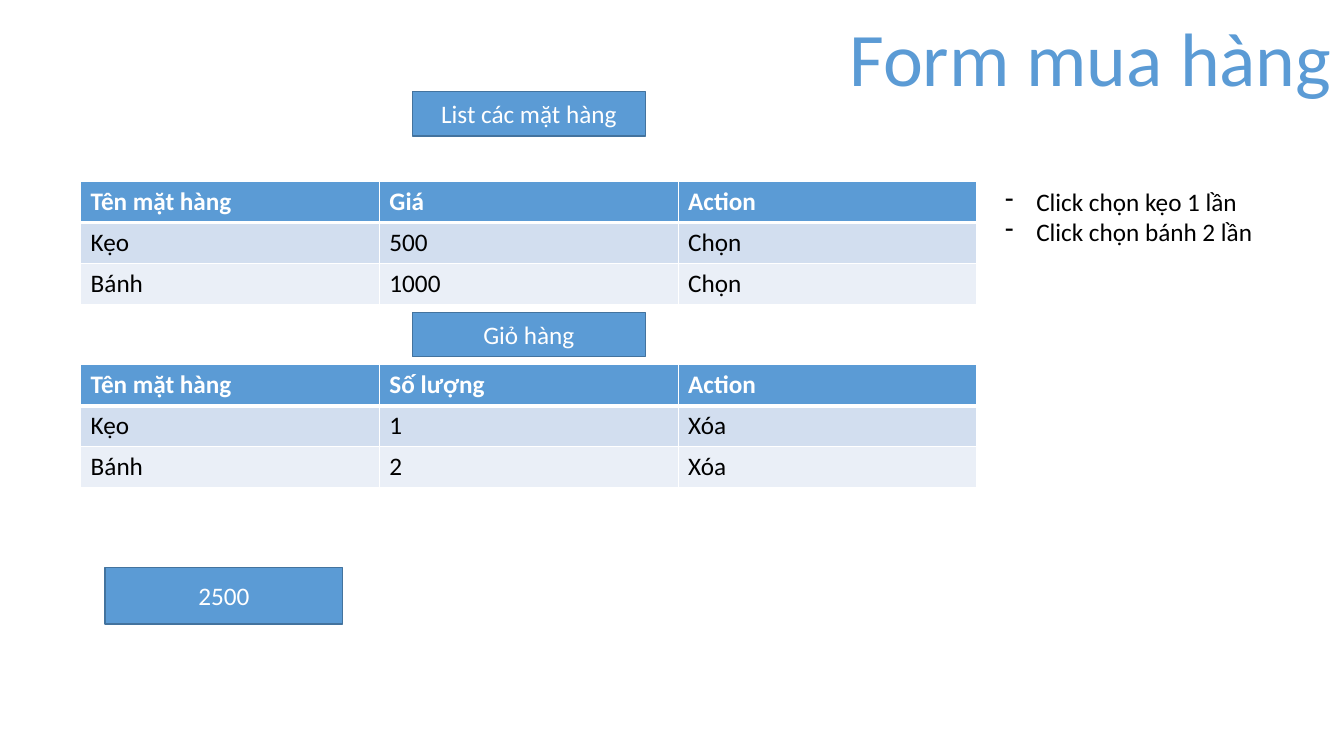
import pptx
import pptx.util
import pptx.dml.color
import pptx.enum.shapes
import pptx.enum.text
import pptx.oxml.ns
from dataclasses import dataclass
from lxml import etree
from pptx.util import Inches


@dataclass(frozen=True)
class Theme:
    font: str = "Calibri"
    accent: str = "5B9BD5"
    outline: str = "43739E"
    white: str = "FFFFFF"
    text: str = "000000"
    bands: tuple = ("D2DEEF", "EAEFF7")
    body: int = 18
    title: int = 54


THEME = Theme()
CENTER = pptx.enum.text.PP_ALIGN.CENTER


def rgb(value):
    return pptx.dml.color.RGBColor.from_string(value)


def add_xml(parent, tag, **attrs):
    return etree.SubElement(parent, pptx.oxml.ns.qn(tag), attrs)


def style_text(tf, color, size=THEME.body, bold=False, align=None):
    for p in tf.paragraphs:
        p.alignment = align
        for r in p.runs:
            r.font.name = THEME.font
            r.font.size = pptx.util.Pt(size)
            r.font.bold = bold
            r.font.color.rgb = rgb(color)


def add_box(slide, text, left, top, width, height):
    sp = slide.shapes.add_shape(
        pptx.enum.shapes.MSO_SHAPE.RECTANGLE,
        Inches(left), Inches(top), Inches(width), Inches(height))
    sp.shadow.inherit = False
    sp.fill.solid()
    sp.fill.fore_color.rgb = rgb(THEME.accent)
    sp.line.color.rgb = rgb(THEME.outline)
    sp.line.width = pptx.util.Pt(1)
    tf = sp.text_frame
    tf.text = text
    tf.vertical_anchor = pptx.enum.text.MSO_ANCHOR.MIDDLE
    style_text(tf, THEME.white, align=CENTER)


def set_borders(cell, bottom):
    tcPr = cell._tc.get_or_add_tcPr()
    widths = {"a:lnL": 1, "a:lnR": 1, "a:lnT": 1, "a:lnB": bottom}
    for i, (tag, width) in enumerate(widths.items()):
        ln = etree.Element(pptx.oxml.ns.qn(tag), w=str(pptx.util.Pt(width)))
        add_xml(add_xml(ln, "a:solidFill"), "a:srgbClr", val=THEME.white)
        tcPr.insert(i, ln)


def add_table(slide, rows, top):
    table = slide.shapes.add_table(
        len(rows), len(rows[0]), Inches(0.8), Inches(top),
        Inches(8.89), Inches(1.22)).table
    for i, row in enumerate(rows):
        header = i == 0
        for j, text in enumerate(row):
            cell = table.cell(i, j)
            cell.text_frame.text = text
            style_text(cell.text_frame, THEME.white if header else THEME.text, bold=header)
            cell.fill.solid()
            cell.fill.fore_color.rgb = rgb(
                THEME.accent if header else THEME.bands[(i - 1) % 2])
            set_borders(cell, 3 if header else 1)
            if i == 1:
                cell._tc.tcPr.find(pptx.oxml.ns.qn("a:lnT")).set("w", str(pptx.util.Pt(3)))


def add_text(slide, text, left, top, width, height, wrap=True):
    tf = slide.shapes.add_textbox(
        Inches(left), Inches(top), Inches(width), Inches(height)).text_frame
    tf.word_wrap = wrap
    tf.auto_size = pptx.enum.text.MSO_AUTO_SIZE.SHAPE_TO_FIT_TEXT
    tf.text = text
    return tf


def add_dash_list(slide, items, left, top, width, height):
    tf = add_text(slide, "\n".join(items), left, top, width, height)
    style_text(tf, THEME.text)
    indent = Inches(0.31)
    for p in tf.paragraphs:
        pPr = p._p.get_or_add_pPr()
        pPr.set("marL", str(indent))
        pPr.set("indent", str(-indent))
        add_xml(pPr, "a:buFontTx")
        add_xml(pPr, "a:buChar", char="-")


def main():
    prs = pptx.Presentation()
    prs.slide_width, prs.slide_height = Inches(13.33), Inches(7.5)
    slide = prs.slides.add_slide(prs.slide_layouts[6])

    add_box(slide, "List các mặt hàng", 4.09, 0.91, 2.31, 0.44)
    add_table(slide, [("Tên mặt hàng", "Giá", "Action"),
                      ("Kẹo", "500", "Chọn"),
                      ("Bánh", "1000", "Chọn")], 1.8)
    add_table(slide, [("Tên mặt hàng", "Số lượng", "Action"),
                      ("Kẹo", "1", "Xóa"),
                      ("Bánh", "2", "Xóa")], 3.62)
    add_box(slide, "Giỏ hàng", 4.09, 3.1, 2.31, 0.44)
    add_box(slide, "2500", 1.04, 5.63, 2.36, 0.56)
    add_dash_list(slide, ["Click chọn kẹo 1 lần", "Click chọn bánh 2 lần"],
                  9.87, 1.8, 2.97, 0.71)
    title = add_text(slide, "Form mua hàng", 8.3, 0.06, 5.03, 1.01, wrap=False)
    style_text(title, THEME.accent, THEME.title, align=CENTER)

    prs.save("out.pptx")


if __name__ == "__main__":
    main()
